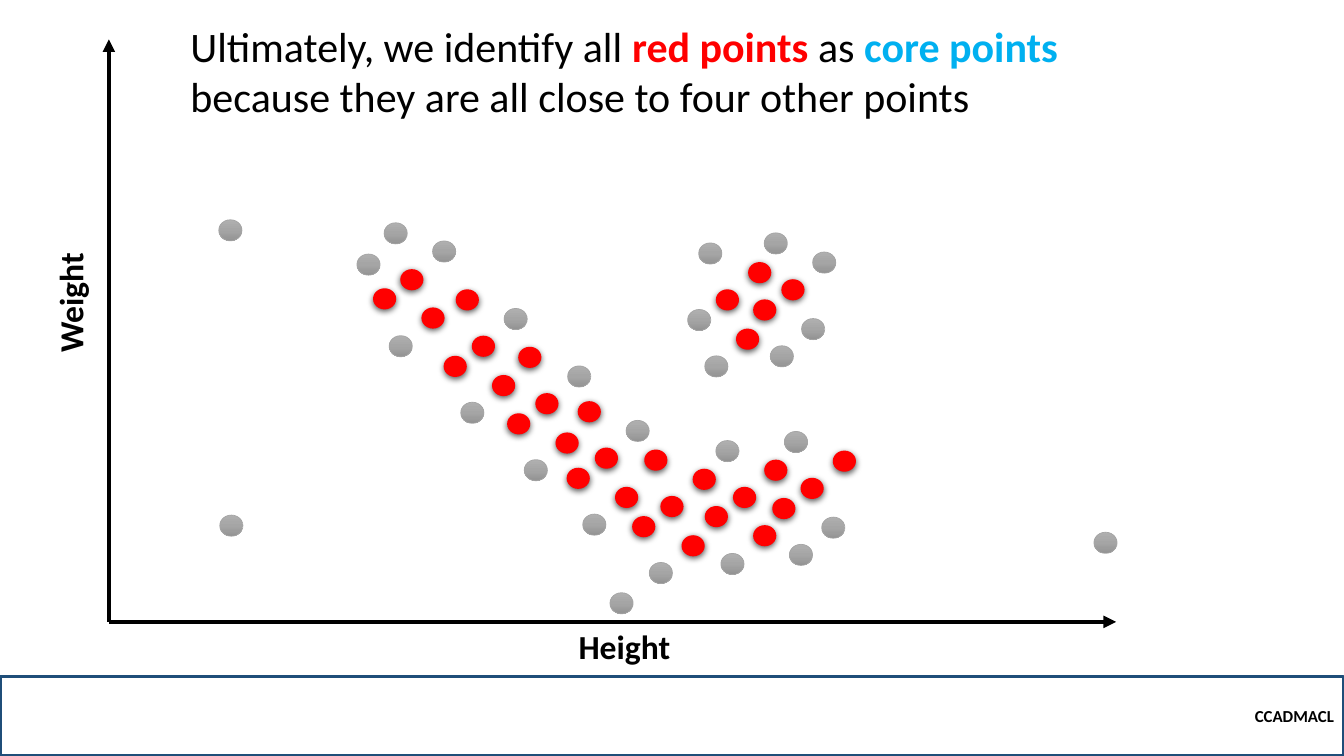
from lxml import etree
from pptx import Presentation
from pptx.dml.color import RGBColor
from pptx.enum.shapes import MSO_CONNECTOR, MSO_SHAPE
from pptx.enum.text import MSO_ANCHOR, MSO_AUTO_SIZE, PP_ALIGN
from pptx.oxml import parse_xml
from pptx.oxml.ns import nsdecls, qn
from pptx.util import Pt

STRAIGHT = MSO_CONNECTOR.STRAIGHT
ELLIPSE, RECTANGLE = MSO_SHAPE.OVAL, MSO_SHAPE.RECTANGLE
MIDDLE = MSO_ANCHOR.MIDDLE
GROW = MSO_AUTO_SIZE.SHAPE_TO_FIT_TEXT
LEFT, RIGHT = PP_ALIGN.LEFT, PP_ALIGN.RIGHT

PX = 9144  # 100 px to the inch
SLIDE_SIZE = (1333, 750)
FONT = "Calibri"
BLACK, RED, BLUE = "000000", "FF0000", "00B0F0"
GRAY, FOOTER_BLUE = "A5A5A5", "1F4E79"
GRAY_STOPS = [(0, "AFAFAF"), (50, GRAY), (100, "939393")]

FOOTER_BOX = (0, 671, 1333, 79)
FOOTER_RUNS = [("CCADMACL", BLACK, True)]
AXIS_ORIGIN = (108, 617)
AXIS_ENDS = [(1107, 617), (108, 39)]

# box, rotation, size, runs of (text, colour, bold)
TEXTS = [
    ((564, 616, 117, 50), 0, 24, [("Height", BLACK, True)]),
    ((10, 275, 119, 50), 270, 24, [("Weight", BLACK, True)]),
    ((179, 15, 928, 111), 0, 30, [
        ("Ultimately, we identify all ", BLACK, False),
        ("red points ", RED, True),
        ("as ", BLACK, False),
        ("core points ", BLUE, True),
        ("because they are all close to four other points", BLACK, False),
    ]),
]

# left and top of each point
POINT_SIZE = (23, 21)
CORE_POINTS = [
    (397, 267), (370, 286), (418, 305), (452, 287), (468, 333), (440, 353),
    (488, 372), (514, 344), (531, 390), (503, 410), (551, 429), (573, 398),
    (590, 444), (562, 464), (610, 483), (639, 446), (655, 492), (687, 465),
    (627, 512), (676, 531), (727, 483), (758, 456), (699, 502), (747, 521),
    (794, 474), (826, 447), (766, 494),
    (710, 287), (742, 260), (730, 326), (775, 277), (747, 297),
]
OTHER_POINTS = [
    (381, 221), (429, 239), (386, 333), (500, 306), (457, 399), (563, 363),
    (520, 456), (621, 417), (578, 510), (644, 558), (710, 437), (715, 549),
    (778, 428), (783, 540), (815, 513), (354, 252), (605, 588),
    (693, 241), (682, 307), (699, 353), (758, 231), (806, 250), (764, 343),
    (795, 316),
    (217, 218), (218, 511), (1085, 528),
]


def emu(lengths):
    return [length * PX for length in lengths]


def color(value):
    return RGBColor.from_string(value)


def add_runs(frame, runs, size, alignment=LEFT):
    frame.word_wrap = True
    paragraph = frame.paragraphs[0]
    paragraph.alignment = alignment
    for text, run_color, bold in runs:
        run = paragraph.add_run()
        run.text = text
        run.font.name = FONT
        run.font.size = Pt(size)
        run.font.bold = bold
        run.font.color.rgb = color(run_color)


def add_plain_shape(slide, kind, box):
    shape = slide.shapes.add_shape(kind, *emu(box))
    shape.shadow.inherit = False
    return shape


def add_footer(slide):
    footer = add_plain_shape(slide, RECTANGLE, FOOTER_BOX)
    footer.fill.background()
    footer.line.color.rgb = color(FOOTER_BLUE)
    footer.line.width = Pt(2.25)
    footer.text_frame.vertical_anchor = MIDDLE
    add_runs(footer.text_frame, FOOTER_RUNS, 12, RIGHT)


def add_axis(slide, end):
    axis = slide.shapes.add_connector(STRAIGHT, *emu(AXIS_ORIGIN + end))
    axis.line.color.rgb = color(BLACK)
    axis.line.width = Pt(3)
    properties = axis._element.spPr
    etree.SubElement(properties.get_or_add_ln(), qn("a:tailEnd"), type="triangle")
    etree.SubElement(properties, qn("a:effectLst"))


def add_core_point(slide, position):
    point = add_plain_shape(slide, ELLIPSE, position + POINT_SIZE)
    point.fill.solid()
    point.fill.fore_color.rgb = color(RED)
    point.line.fill.background()
    effects = point._element.spPr.find(qn("a:effectLst"))
    effects.append(parse_xml(
        f'<a:outerShdw {nsdecls("a")} blurRad="{Pt(4.5)}" dist="{Pt(1.5)}" '
        f'dir="5400000" algn="ctr" rotWithShape="0"><a:srgbClr val="{BLACK}">'
        '<a:alpha val="63000"/></a:srgbClr></a:outerShdw>'))


def add_other_point(slide, position):
    point = add_plain_shape(slide, ELLIPSE, position + POINT_SIZE)
    point.line.color.rgb = color(GRAY)
    point.line.width = Pt(0.5)
    stops = "".join(
        f'<a:gs pos="{percent * 1000}"><a:srgbClr val="{value}"/></a:gs>'
        for percent, value in GRAY_STOPS)
    gradient = parse_xml(
        f'<a:gradFill {nsdecls("a")} rotWithShape="1"><a:gsLst>{stops}</a:gsLst>'
        '<a:lin ang="5400000" scaled="0"/></a:gradFill>')
    point._element.spPr.get_or_add_ln().addprevious(gradient)


def add_text(slide, box, rotation, size, runs):
    text_box = slide.shapes.add_textbox(*emu(box))
    text_box.rotation = rotation
    add_runs(text_box.text_frame, runs, size)
    text_box.text_frame.auto_size = GROW


def main():
    presentation = Presentation()
    presentation.slide_width, presentation.slide_height = emu(SLIDE_SIZE)
    slide = presentation.slides.add_slide(presentation.slide_layouts[6])
    add_footer(slide)
    for end in AXIS_ENDS:
        add_axis(slide, end)
    for position in OTHER_POINTS:
        add_other_point(slide, position)
    for position in CORE_POINTS:
        add_core_point(slide, position)
    for text in TEXTS:
        add_text(slide, *text)
    presentation.save("out.pptx")


if __name__ == "__main__":
    main()
